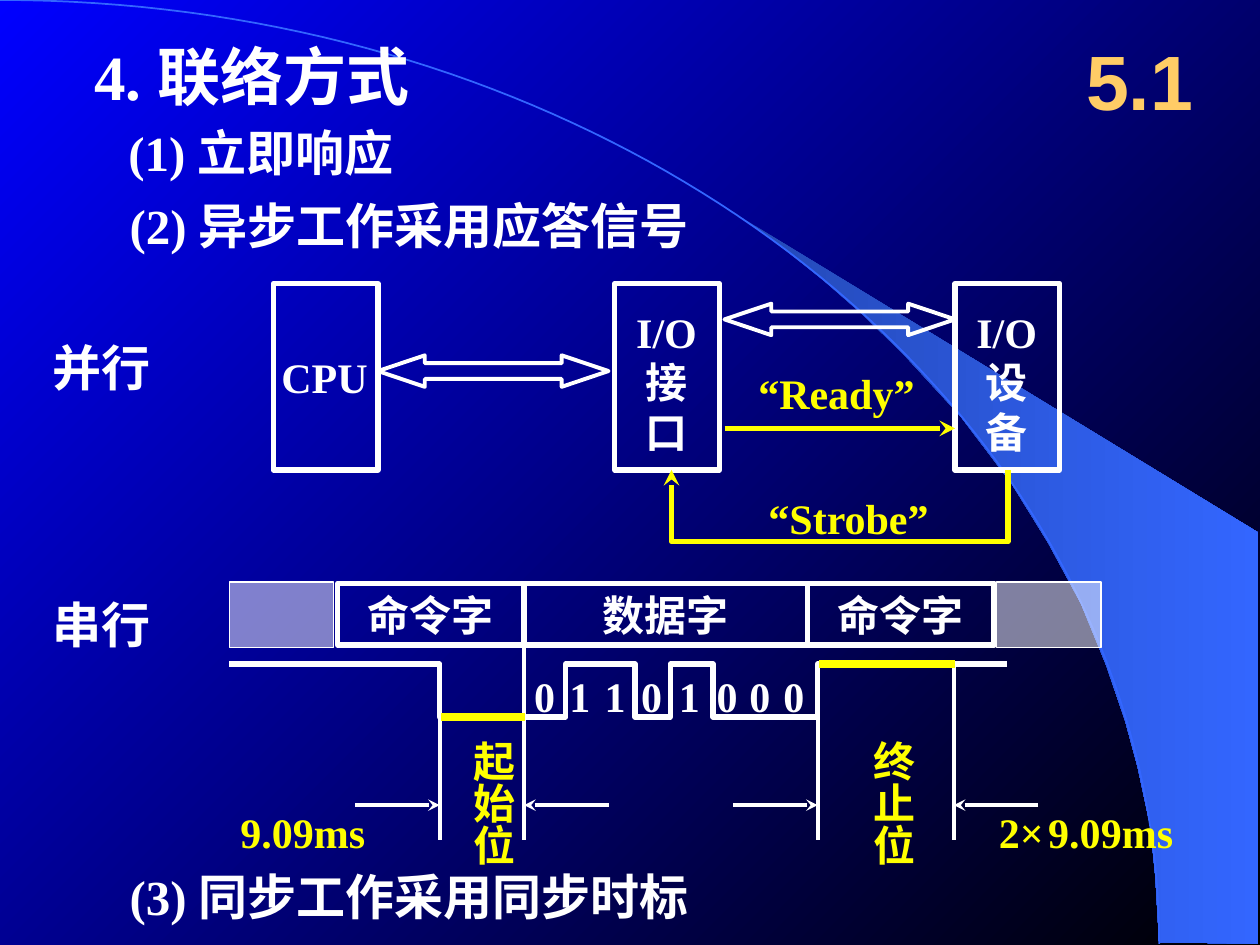
from dataclasses import dataclass

from lxml import etree
from pptx import Presentation
from pptx import util as u
from pptx.dml.color import RGBColor
from pptx.enum import shapes, text
from pptx.oxml import ns


@dataclass(frozen=True)
class Theme:
    white: str = "FFFFFF"
    yellow: str = "FFFF00"
    gold: str = "FFCC66"
    blue: str = "3366FF"
    mid_blue: str = "2449B6"
    sky: tuple = ("0000FF", "000000")
    serif: str = "Times New Roman"
    sans: str = "Arial"
    number: int = 44
    title: int = 36
    heading: int = 28
    label: int = 24
    gap: int = 10


THEME = Theme()
CENTER = text.PP_ALIGN.CENTER


@dataclass(frozen=True)
class Region:
    """Part of the page; positions inside it are in inches from its corner."""
    page: object
    left: float
    top: float

    def at(self, x, y):
        return u.Inches(self.left + x), u.Inches(self.top + y)


def child(parent, tag, **attributes):
    return etree.SubElement(parent, ns.qn(tag), attributes)


def set_line(shape, color, width, arrow=False):
    shape.line.color.rgb = RGBColor.from_string(color)
    shape.line.width = u.Pt(width)
    if arrow:
        child(shape.line._get_or_add_ln(), "a:tailEnd", type="stealth")


def set_gradient(fill, colors, angle):
    fill.gradient()
    fill.gradient_angle = angle
    for stop, color in zip(fill.gradient_stops, colors):
        stop.color.rgb = RGBColor.from_string(color)


def style(para, color, size, name=THEME.serif):
    para.font.name, para.font.size, para.font.bold = name, u.Pt(size), True
    para.font.color.rgb = RGBColor.from_string(color)


def add_text(region, x, y, width, height, words, color=THEME.white,
             size=THEME.label, name=THEME.serif, align=None, wrap=False, vertical=False):
    box = region.page.shapes.add_textbox(
        *region.at(x, y), u.Inches(width), u.Inches(height))
    frame = box.text_frame
    frame.word_wrap = wrap
    frame.auto_size = text.MSO_AUTO_SIZE.SHAPE_TO_FIT_TEXT
    if vertical:
        frame._txBody.bodyPr.set("vert", "eaVert")
    frame.text = words
    for para in frame.paragraphs:
        para.alignment = align
        style(para, color, size, name)
    return box


def add_outline(region, kind, x, y, width, height, weight=3):
    shape = region.page.shapes.add_shape(
        kind, *region.at(x, y), u.Inches(width), u.Inches(height))
    shape.shadow.inherit = False
    shape.fill.background()
    set_line(shape, THEME.white, weight)
    return shape


def add_line(region, start, end, color=THEME.white, width=2.25, arrow=False):
    line = region.page.shapes.add_connector(
        shapes.MSO_CONNECTOR.STRAIGHT, *region.at(*start), *region.at(*end))
    set_line(line, color, width, arrow)
    child(line._element.spPr, "a:effectLst")


def add_path(region, points, close=False):
    first, *rest = [region.at(*point) for point in points]
    builder = region.page.shapes.build_freeform(*first)
    builder.add_line_segments(rest, close=close)
    shape = builder.convert_to_shape()
    shape.shadow.inherit = False
    shape.fill.background()
    return shape


def draw_backdrop(region):
    set_gradient(region.page.background.fill, THEME.sky, 315)
    # Beam at the right
    beam = add_path(region, [
        (9.2, 7.48), (9.99, 7.49), (9.99, 4.23), (5.89, 1.73), (6.24, 1.99),
        (6.53, 2.22), (6.85, 2.5), (7.16, 2.8), (7.62, 3.3), (8.03, 3.84),
        (8.32, 4.31), (8.58, 4.79), (8.78, 5.28), (8.93, 5.72), (9.03, 6.09),
        (9.13, 6.56), (9.17, 6.96)], close=True)
    set_gradient(beam.fill, (THEME.mid_blue, THEME.blue), 0)
    beam.line.fill.background()
    # Horizon: cubic curve through (0, 0), (5.08, 0), (9.2, 3.35), (9.2, 7.49)
    curve = []
    for step in range(81):
        t = step / 80
        b, c, d = 3 * t * (1 - t) ** 2, 3 * t * t * (1 - t), t ** 3
        curve.append((5.08 * b + 9.2 * (c + d), 3.35 * c + 7.49 * d))
    set_line(add_path(region, curve), THEME.blue, 1)


def draw_headings(region):
    add_text(region, 0.65, 0.25, 3.52, 0.7, "4. 联络方式", size=THEME.title, wrap=True)
    for x, y, width, words in [(0.92, 0.92, 3.08, "(1) 立即响应"),
                               (0.93, 1.5, 5.23, "(2) 异步工作采用应答信号"),
                               (0.93, 6.83, 5.07, "(3) 同步工作采用同步时标")]:
        add_text(region, x, y, width, 0.57, words, size=THEME.heading, wrap=True)
    for y, words in [(2.63, "并行"), (4.67, "串行")]:
        add_text(region, 0.32, y, 0.98, 0.57, words, size=THEME.heading)
    number = add_text(region, 8.42, 0.17, 1.25, 0.92, "5.1", THEME.gold,
                      THEME.number, THEME.sans, CENTER, wrap=True)
    number.text_frame.auto_size = text.MSO_AUTO_SIZE.NONE
    number.text_frame.vertical_anchor = text.MSO_ANCHOR.MIDDLE


def draw_parallel(region):
    # Units
    for x, inset, y, width, height, words in [
            (0, -0.04, 0.49, 0.89, 0.5, "CPU"),
            (2.71, 0.07, 0.13, 0.68, 1.3, "I/O\n接\n口"),
            (5.41, 0.07, 0.13, 0.68, 1.3, "I/O\n设\n备")]:
        add_outline(region, shapes.MSO_SHAPE.RECTANGLE, x, 0, 0.83, 1.48)
        add_text(region, x + inset, y, width, height, words, align=CENTER)
    # Buses
    for x, y in [(0.83, 0.57), (3.58, 0.16)]:
        bus = add_outline(region, shapes.MSO_SHAPE.LEFT_RIGHT_ARROW,
                          x, y, 1.83, 0.25, 2.25)
        bus.adjustments[0], bus.adjustments[1] = 0.5, 1.487
    # Handshake signals
    add_line(region, (3.58, 1.15), (5.41, 1.15), THEME.yellow, 3, arrow=True)
    add_text(region, 3.75, 0.62, 1.44, 0.5, "“Ready”", THEME.yellow)
    strobe = add_path(region, [(5.83, 1.48), (5.83, 2.05), (3.16, 2.05), (3.16, 1.48)])
    set_line(strobe, THEME.yellow, 3, arrow=True)
    add_text(region, 3.83, 1.61, 1.48, 0.5, "“Strobe”", THEME.yellow)


def draw_serial(region):
    # Word strip
    rectangle = shapes.MSO_SHAPE.RECTANGLE
    for x, width, words in [(2.34, 2.25, "数据字"), (4.59, 1.48, "命令字"),
                            (0.86, 1.48, "命令字")]:
        frame = add_outline(region, rectangle, x, 0.01, width, 0.49).text_frame
        frame.word_wrap = False
        frame.vertical_anchor = text.MSO_ANCHOR.MIDDLE
        frame.text = words
        frame.paragraphs[0].alignment = CENTER
        style(frame.paragraphs[0], THEME.white, THEME.label)
    for x in (6.09, 0):
        cell = add_outline(region, rectangle, x, 0, 0.83, 0.52, 0.75)
        cell.fill.solid()
        cell.fill.fore_color.rgb = RGBColor.from_string(THEME.white)
        color = cell._element.spPr.find(ns.qn("a:solidFill"))[0]
        child(color, "a:alpha", val="50000")
    # Bits and waveform: the level flips at each edge
    for x, bit in zip((2.32, 2.6, 2.88, 3.17, 3.47, 3.77, 4.03, 4.3), "01101000"):
        add_text(region, x, 0.65, 0.37, 0.5, bit)
    high, low = 0.65, 1.07
    for level, start, *edges, end in [(high, 0, 1.67, 2.34),
                                      (low, 2.34, 2.67, 3.22, 3.5, 3.84, 4.67),
                                      (low, 4.67, 4.67, 6.17)]:
        points = [(start, level)]
        for edge in edges:
            points.append((edge, level))
            level = high + low - level
            points.append((edge, level))
        set_line(add_path(region, points + [(end, level)]), THEME.white, 3)
    # Time marks, each with an arrow pointing at it
    for x, top, side in [(1.67, 0.92, -1), (2.34, 0.5, 1),
                         (4.67, 0.92, -1), (5.75, 0.64, 1)]:
        add_line(region, (x, top), (x, 2.05))
        add_line(region, (x + side * 0.67, 1.77), (x, 1.77), arrow=True)
    # Start and stop bits
    for x, words, start, end, level in [(1.74, "起始位", 1.68, 2.35, low),
                                        (4.92, "终止位", 4.68, 5.76, high)]:
        add_text(region, x, 1.16, 0.6, 1.09, words, THEME.yellow, vertical=True)
        add_line(region, (start, level), (end, level), THEME.yellow, 4.5)
    add_text(region, -0.01, 1.73, 1.19, 0.5, "9.09ms", THEME.yellow)
    stop = add_text(region, 6.01, 1.73, 2, 0.5, "2×", THEME.yellow, wrap=True)
    para = stop.text_frame.paragraphs[0]
    for words, size in [(" ", THEME.gap), ("9.09ms", THEME.label)]:
        span = para.add_run()
        span.text, span.font.size = words, u.Pt(size)


def main():
    deck = Presentation()
    deck.slide_width, deck.slide_height = u.Inches(10), u.Inches(7.5)
    page = deck.slides.add_slide(deck.slide_layouts[6])
    draw_backdrop(Region(page, 0, 0))
    draw_headings(Region(page, 0, 0))
    draw_parallel(Region(page, 2.17, 2.25))
    draw_serial(Region(page, 1.82, 4.62))
    deck.save("out.pptx")


if __name__ == "__main__":
    main()
